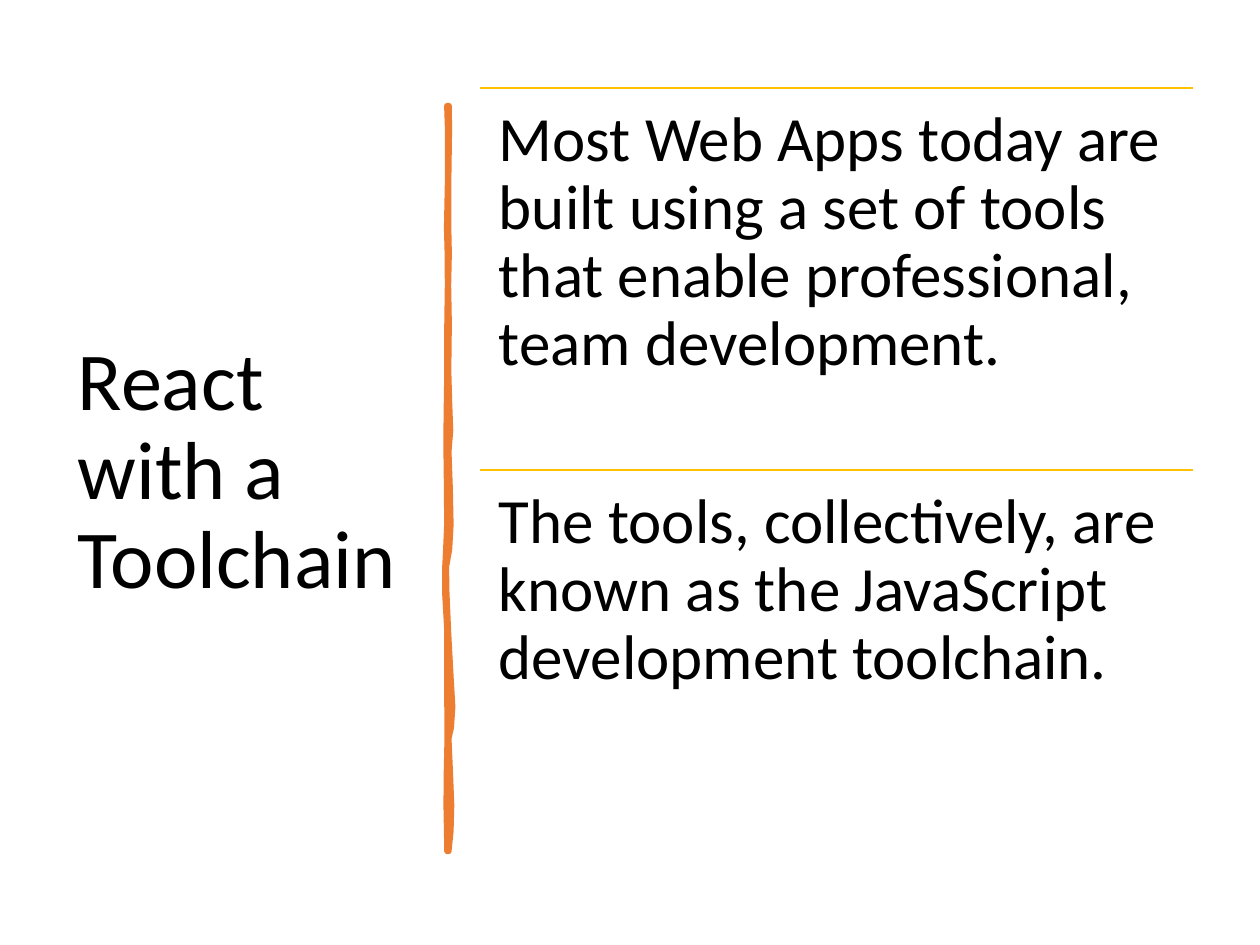
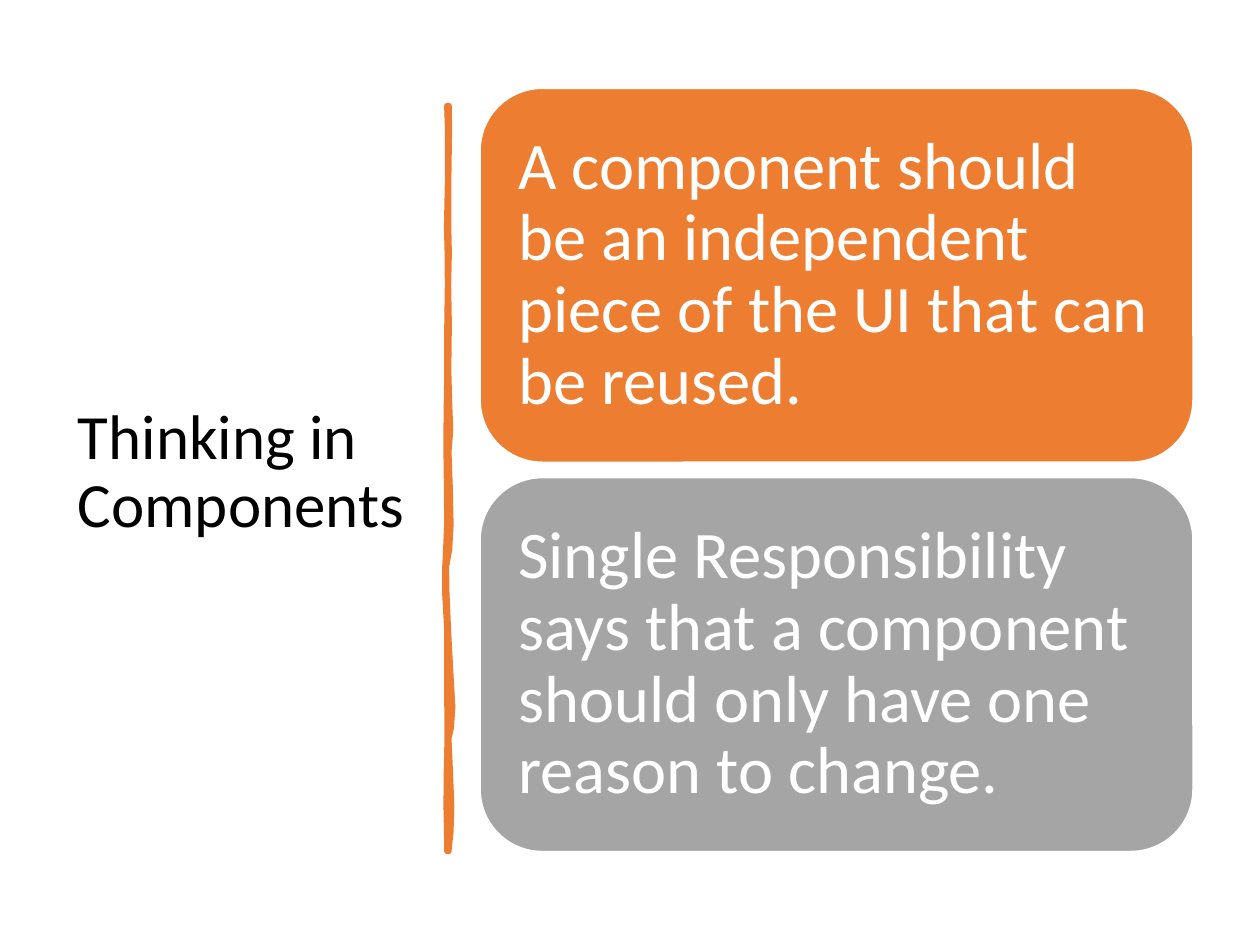
from dataclasses import dataclass

from lxml import etree
from pptx import Presentation
from pptx.dml.color import RGBColor
from pptx.enum.shapes import MSO_CONNECTOR, MSO_SHAPE
from pptx.enum.text import MSO_ANCHOR, PP_ALIGN
from pptx.oxml.ns import qn
from pptx.util import Pt

LINE = MSO_CONNECTOR.STRAIGHT
ROUND = MSO_SHAPE.ROUNDED_RECTANGLE
TOP, MID = MSO_ANCHOR.TOP, MSO_ANCHOR.MIDDLE
LEFT = PP_ALIGN.LEFT


@dataclass(frozen=True)
class Theme:
    font: str = "Calibri"
    ink: RGBColor = RGBColor(0x00, 0x00, 0x00)
    paper: RGBColor = RGBColor(0xFF, 0xFF, 0xFF)
    orange: RGBColor = RGBColor(0xED, 0x7D, 0x31)
    gray: RGBColor = RGBColor(0xA5, 0xA5, 0xA5)
    gold: RGBColor = RGBColor(0xFF, 0xC0, 0x00)
    large: int = 47
    small: int = 36
    body: int = 36
    card: int = 38


theme = Theme()

# Right-hand column, shared by both slides
COL_X, COL_Y, COL_W, COL_H = 274.3, 50.4, 407.5, 436.3

# Brush stroke: y, left edge, right edge
BRUSH = [
    (60.5, 255.4, 256.6), (75, 255.9, 256.7), (105, 255.8, 256.3),
    (130, 255.3, 256.3), (145, 255.7, 256.6), (163, 255.8, 256.2),
    (185, 255.5, 256.6), (212, 255.5, 256.3), (230, 255.2, 256.8),
    (246, 255.0, 257.4), (258, 255.0, 256.4), (280, 255.3, 257.2),
    (300, 255.4, 257.6), (314, 254.8, 256.8), (324, 254.3, 255.0),
    (338, 254.2, 255.2), (361, 255.5, 256.2), (385, 255.5, 257.5),
    (404, 255.5, 258.6), (416, 255.6, 257.8), (422, 255.6, 256.4),
    (440, 255.2, 257.2), (460, 255.0, 258.0), (475, 255.3, 257.6),
    (486.5, 255.5, 256.4),
]


def write(shape, text, size, color, anchor, pad=(7.2, 3.6)):
    """Put one left-aligned paragraph in a shape."""
    frame = shape.text_frame
    frame.word_wrap = True
    frame.vertical_anchor = anchor
    frame.margin_left = frame.margin_right = Pt(pad[0])
    frame.margin_top = frame.margin_bottom = Pt(pad[1])
    frame.text = text
    para = frame.paragraphs[0]
    para.alignment = LEFT
    para.line_spacing = 0.9
    font = para.runs[0].font
    font.name = theme.font
    font.size = Pt(size)
    font.color.rgb = color


def start(title, size):
    """Add a slide with its side title and brush stroke."""
    slide = deck.slides.add_slide(deck.slide_layouts[6])
    slide.background.fill.solid()
    slide.background.fill.fore_color.rgb = theme.paper
    box = slide.shapes.add_textbox(Pt(37.44), Pt(50.4), Pt(201.6), Pt(440))
    write(box, title, size, theme.ink, MID)

    edge = [(left, y) for y, left, right in BRUSH]
    edge += [(right, y) for y, left, right in reversed(BRUSH)]
    dots = [(Pt(x), Pt(y)) for x, y in edge]
    pen = slide.shapes.build_freeform(*dots[0])
    pen.add_line_segments(dots[1:], close=True)
    brush = pen.convert_to_shape()
    brush.shadow.inherit = False
    brush.fill.solid()
    brush.fill.fore_color.rgb = theme.orange
    brush.line.color.rgb = theme.orange
    brush.line.width = Pt(3.25)
    return slide


deck = Presentation()
deck.slide_width, deck.slide_height = Pt(720), Pt(540)

# Slide 1: ruled statements
slide = start("React with a Toolchain", theme.large)
facts = [
    "Most Web Apps today are built using a set of tools that enable "
    "professional, team development.",
    "The tools, collectively, are known as the JavaScript development "
    "toolchain.",
]
row = COL_H / len(facts)
for i, fact in enumerate(facts):
    y = Pt(COL_Y + i * row)
    rule = slide.shapes.add_connector(LINE, Pt(COL_X), y, Pt(COL_X + COL_W), y)
    rule.line.color.rgb = theme.gold
    rule.line.width = Pt(1)
    etree.SubElement(rule.element.spPr, qn("a:effectLst"))
    box = slide.shapes.add_textbox(Pt(COL_X), y, Pt(COL_W), Pt(row))
    write(box, fact, theme.body, theme.ink, TOP, (10.8, 10.8))

# Slide 2: filled cards
slide = start("Thinking in Components", theme.small)
cards = [
    ("A component should be an independent piece of the UI that can be "
     "reused.", theme.orange),
    ("Single Responsibility says that a component should only have one "
     "reason to change.", theme.gray),
]
gap = 8.6
tall = (COL_H - gap * (len(cards) - 1)) / len(cards)
for i, (text, color) in enumerate(cards):
    y = COL_Y + i * (tall + gap)
    card = slide.shapes.add_shape(ROUND, Pt(COL_X), Pt(y), Pt(COL_W), Pt(tall))
    card.shadow.inherit = False
    card.fill.solid()
    card.fill.fore_color.rgb = color
    card.line.color.rgb = theme.paper
    card.line.width = Pt(1)
    write(card, text, theme.card, theme.paper, MID, (11.4, 11.4))

deck.save("out.pptx")
